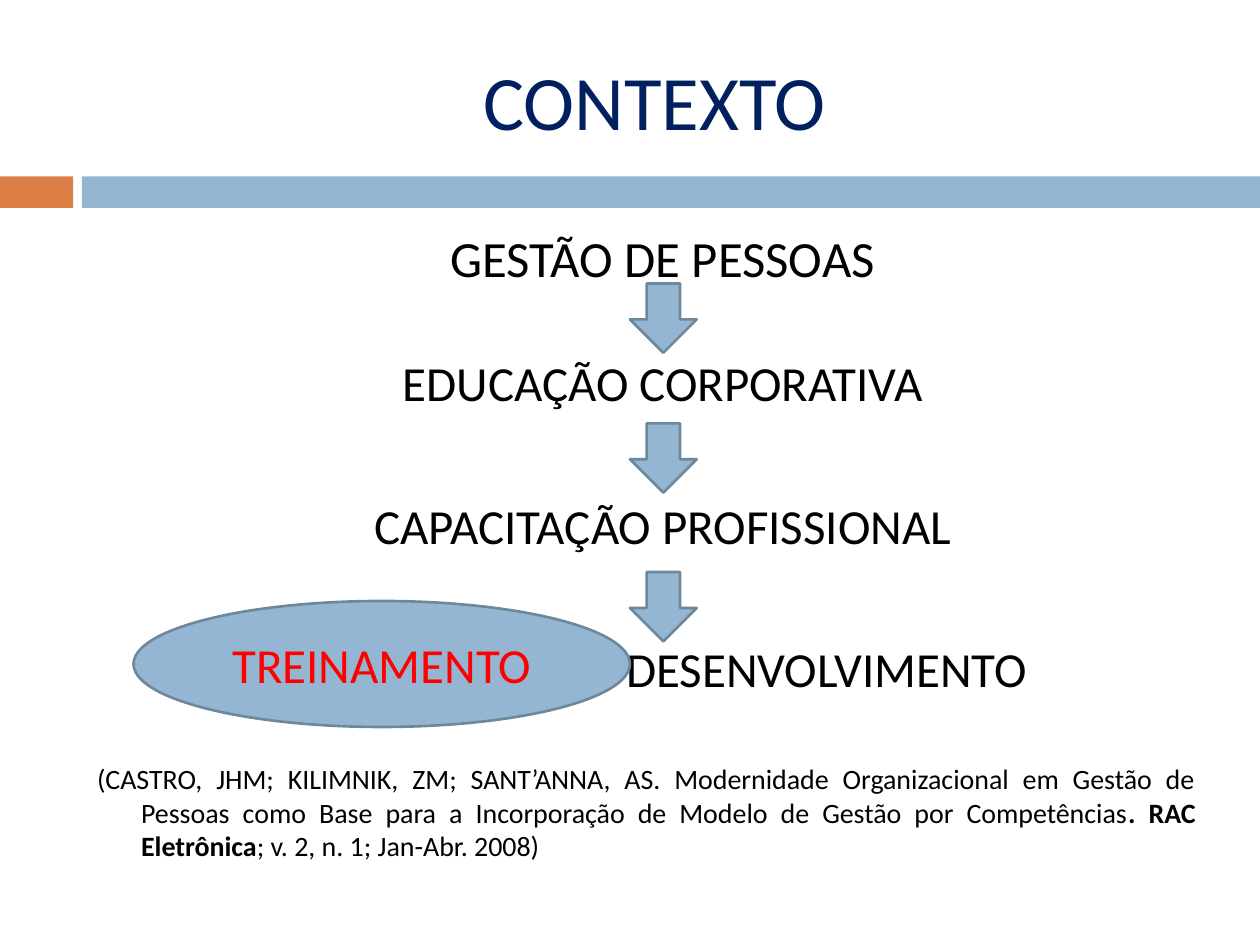
import pptx
import pptx.dml.color
import pptx.enum.shapes
import pptx.enum.text
import pptx.oxml
import pptx.util

Inches, Pt = pptx.util.Inches, pptx.util.Pt
ALIGN = pptx.enum.text.PP_ALIGN
SHAPE = pptx.enum.shapes.MSO_SHAPE

# Content
FONT = "Calibri"
BLUE, ORANGE, OUTLINE = "94B6D2", "DD8047", "6D879B"
TITLE = "CONTEXTO"
# text, size, space before, alignment, left margin, first-line indent
STEPS = [
    ("GESTÃO DE PESSOAS", 29, 7, ALIGN.CENTER, 0.26, 0),
    ("EDUCAÇÃO CORPORATIVA", 28, 37, ALIGN.CENTER, 0.26, 0),
    ("CAPACITAÇÃO PROFISSIONAL", 28, 48, ALIGN.CENTER, 0.26, 0),
    ("DESENVOLVIMENTO", 28, 48, ALIGN.LEFT, 4.2, 0),
]
CITATION = [
    ("(CASTRO, JHM; KILIMNIK, ZM; SANT’ANNA, AS. Modernidade Organizacional "
     "em Gestão de Pessoas como Base para a Incorporação de Modelo de Gestão "
     "por Competências", False),
    (". RAC Eletrônica", True),
    ("; v. 2, n. 1; Jan-Abr. 2008)", False),
]
BARS = [(0, 0.58, ORANGE), (0.65, 9.35, BLUE)]
ARROW_TOPS = [2.25, 3.36, 4.54]


def color(value):
    return pptx.dml.color.RGBColor.from_string(value)


def format_paragraph(paragraph, size, font_color, align=ALIGN.CENTER,
                     before=0, margin=0, indent=0):
    paragraph.alignment = align
    paragraph.space_before = Pt(before)
    paragraph.font.name = FONT
    paragraph.font.size = Pt(size)
    paragraph.font.color.rgb = color(font_color)
    properties = paragraph._p.get_or_add_pPr()
    properties.set("marL", str(Inches(margin)))
    properties.set("indent", str(Inches(indent)))
    bullet = pptx.oxml.parse_xml(
        '<a:buNone xmlns:a="http://schemas.openxmlformats.org/drawingml/2006/main"/>')
    properties.insert_element_before(bullet, "a:tabLst", "a:defRPr", "a:extLst")


def place(shape, left, top, width, height):
    shape.left, shape.top = Inches(left), Inches(top)
    shape.width, shape.height = Inches(width), Inches(height)
    frame = shape.text_frame
    frame.word_wrap = True
    frame.auto_size = pptx.enum.text.MSO_AUTO_SIZE.NONE
    return frame


def add_shape(kind, left, top, width, height, fill, line=None):
    shape = slide.shapes.add_shape(
        kind, Inches(left), Inches(top), Inches(width), Inches(height))
    shape.shadow.inherit = False
    shape.fill.solid()
    shape.fill.fore_color.rgb = color(fill)
    if line:
        shape.line.color.rgb = color(line)
        shape.line.width = Pt(1.5)
    else:
        shape.line.fill.background()
    return shape


presentation = pptx.Presentation()
presentation.slide_width, presentation.slide_height = Inches(10), Inches(7.5)
slide = presentation.slides.add_slide(presentation.slide_layouts[1])

# Title and the bars under it
frame = place(slide.shapes.title, 0.67, 0.25, 8.92, 1.08)
frame.vertical_anchor = pptx.enum.text.MSO_ANCHOR.MIDDLE
frame.text = TITLE
format_paragraph(frame.paragraphs[0], 44, "002060", margin=0.13)
for left, width, fill in BARS:
    add_shape(SHAPE.RECTANGLE, left, 1.4, width, 0.25, fill)

# Steps and citation
frame = place(slide.placeholders[1], 0.67, 1.75, 8.92, 5.31)
frame.vertical_anchor = pptx.enum.text.MSO_ANCHOR.TOP
for index, (text, size, before, align, margin, indent) in enumerate(STEPS):
    paragraph = frame.add_paragraph() if index else frame.paragraphs[0]
    paragraph.text = text
    format_paragraph(paragraph, size, "000000", align, before, margin, indent)
paragraph = frame.add_paragraph()
for text, bold in CITATION:
    run = paragraph.add_run()
    run.text = text
    run.font.bold = bold
format_paragraph(paragraph, 16, "000000", ALIGN.JUSTIFY, 37, 0.35, -0.35)

# Arrows between the steps
for top in ARROW_TOPS:
    add_shape(SHAPE.DOWN_ARROW, 5, top, 0.53, 0.55, BLUE, OUTLINE)

# Highlighted step
ellipse = add_shape(SHAPE.OVAL, 1.06, 4.77, 3.94, 1, BLUE, OUTLINE)
frame = ellipse.text_frame
frame.vertical_anchor = pptx.enum.text.MSO_ANCHOR.MIDDLE
frame.text = "TREINAMENTO"
format_paragraph(frame.paragraphs[0], 28, "FF0000")

presentation.save("out.pptx")
